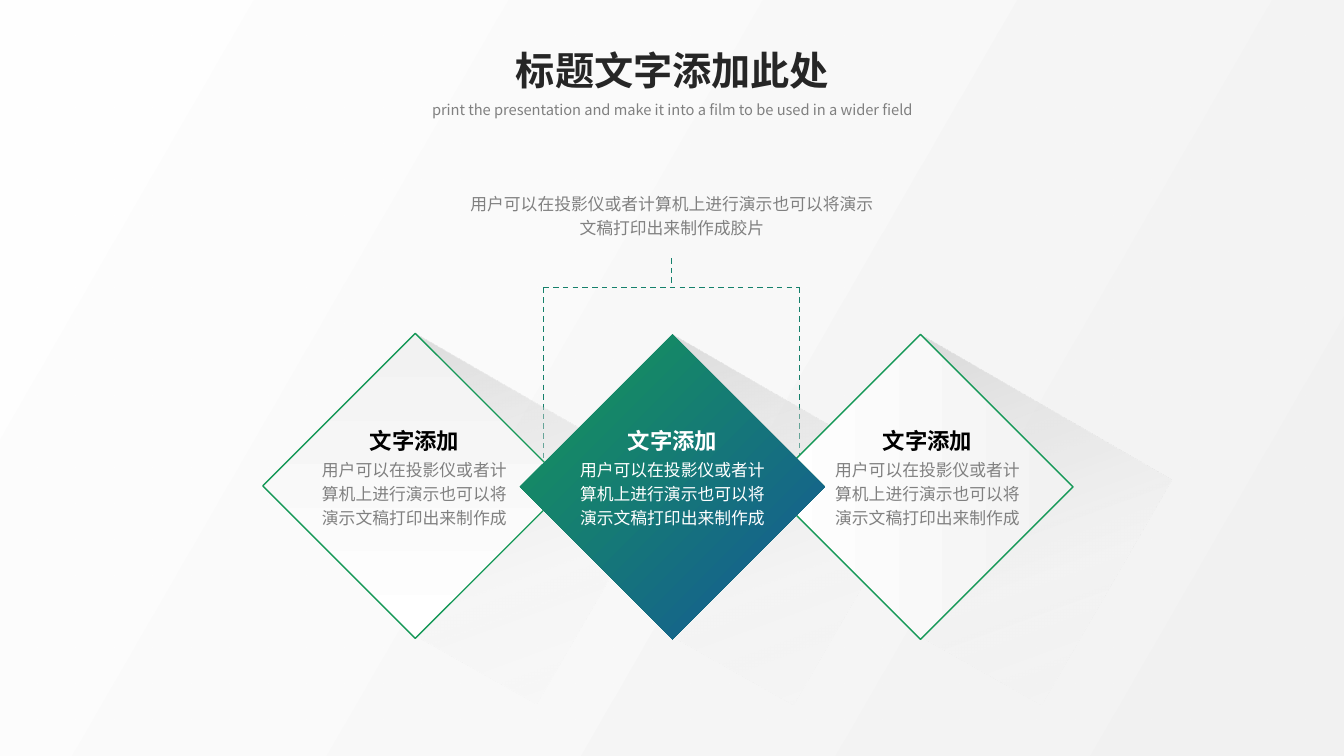
from lxml import etree
from pptx import Presentation
from pptx.dml.color import RGBColor
from pptx.enum.dml import MSO_LINE
from pptx.enum.shapes import MSO_CONNECTOR, MSO_SHAPE
from pptx.enum.text import MSO_AUTO_SIZE, PP_ALIGN
from pptx.oxml import parse_xml
from pptx.oxml.ns import nsdecls, qn
from pptx.util import Inches, Pt

WIDTH, HEIGHT = 13.33, 7.5
FONT = "Noto Sans CJK SC"
WHITE = RGBColor(0xFF, 0xFF, 0xFF)
PALE = RGBColor(0xF2, 0xF2, 0xF2)
SILVER = RGBColor(0xBF, 0xBF, 0xBF)
GRAY = RGBColor(0x80, 0x80, 0x80)
INK = RGBColor(0x26, 0x26, 0x26)
BLACK = RGBColor(0, 0, 0)
GREEN = RGBColor(0x15, 0x98, 0x57)
BLUE = RGBColor(0x15, 0x57, 0x98)
TEAL = RGBColor(0x15, 0x80, 0x6B)

BACKDROP = [(0, WHITE, 95), (100, PALE, 100)]
SHADE = [(0, SILVER, 50), (61, PALE, 34), (100, PALE, 0)]
LIGHT = [(0, WHITE, 100), (100, PALE, 100)]
VIVID = [(0, GREEN, 100), (100, BLUE, 100)]

SIDE = 2.14
TURN = 315
HEADING = "文字添加"
BODY = "用户可以在投影仪或者计算机上进行演示也可以将演示文稿打印出来制作成"
# centre x, centre y, text centre x, stops, gradient angle, outline, heading and body colours
DIAMONDS = [
    (9.13, 4.83, 9.2, LIGHT, 0, GREEN, BLACK, GRAY),
    (4.12, 4.82, 4.11, LIGHT, 270, GREEN, BLACK, GRAY),
    (6.67, 4.83, 6.67, VIVID, 45, None, WHITE, WHITE),
]


def fill_gradient(shape, stops, angle):
    """Fill with (position, colour, opacity) stops; angle runs clockwise."""
    marks = "".join(
        f'<a:gs pos="{position * 1000}"><a:srgbClr val="{color}">'
        f'<a:alpha val="{opacity * 1000}"/></a:srgbClr></a:gs>'
        for position, color, opacity in stops)
    gradient = parse_xml(
        f'<a:gradFill {nsdecls("a")} rotWithShape="1"><a:gsLst>{marks}</a:gsLst>'
        f'<a:lin ang="{angle * 60000}" scaled="0"/></a:gradFill>')
    shape.fill.background()
    properties = shape.fill._xPr
    properties.replace(properties.find(qn("a:noFill")), gradient)


def style_shape(shape, stops, angle, outline=None):
    shape.shadow.inherit = False
    fill_gradient(shape, stops, angle)
    if outline is None:
        shape.line.fill.background()
    else:
        shape.line.color.rgb = outline
        shape.line.width = Pt(1)


def add_text(slide, box, text, size, color, bold=False, spacing=1.2):
    shape = slide.shapes.add_textbox(*map(Inches, box))
    shape.text_frame.word_wrap = True
    shape.text_frame.auto_size = MSO_AUTO_SIZE.SHAPE_TO_FIT_TEXT
    paragraph = shape.text_frame.paragraphs[0]
    paragraph.alignment = PP_ALIGN.CENTER
    paragraph.line_spacing = spacing
    run = paragraph.add_run()
    run.text = text
    values = {"name": FONT, "size": Pt(size), "bold": bold}
    for name, value in values.items():
        setattr(run.font, name, value)
    run.font.color.rgb = color
    etree.SubElement(run.font._element, qn("a:ea")).set("typeface", FONT)


def add_backdrop(slide):
    shape = slide.shapes.add_shape(
        MSO_SHAPE.RECTANGLE, 0, 0, Inches(WIDTH), Inches(HEIGHT))
    style_shape(shape, BACKDROP, 30)


def add_header(slide, left, top, width):
    add_text(slide, (left, top, width, 0.57), "标题文字添加此处", 28, INK, True, 1.0)
    add_text(slide, (left, top + 0.51, width, 0.3),
             "print the presentation and make it into a film to be used in a wider field",
             10.5, GRAY)


def add_bracket(slide, left, top, width, height):
    """Dashed stem and crossbar with a leg at each end."""
    right, middle, bar = left + width, left + width / 2, top + 0.29
    bottom = top + height
    for ends in [(left, bar, left, bottom), (right, bar, right, bottom),
                 (left, bar, right, bar), (middle, top, middle, bar)]:
        line = slide.shapes.add_connector(MSO_CONNECTOR.STRAIGHT, *map(Inches, ends))
        line.line.color.rgb = TEAL
        line.line.width = Pt(1)
        line.line.dash_style = MSO_LINE.DASH
        etree.SubElement(line._element.spPr, qn("a:effectLst"))


def add_long_shadow(slide, center_x, center_y):
    """Shadow falling to the lower right of a diamond."""
    offsets = [(0, -1.51), (2.49, -0.07), (1.2, 2.16), (0, 1.48)]
    points = [(Inches(center_x + dx), Inches(center_y + dy)) for dx, dy in offsets]
    builder = slide.shapes.build_freeform(*points[0], scale=1.0)
    builder.add_line_segments(points[1:], close=True)
    style_shape(builder.convert_to_shape(), SHADE, 70)


def add_diamond(slide, center_x, center_y, stops, angle, outline):
    shape = slide.shapes.add_shape(
        MSO_SHAPE.RECTANGLE, Inches(center_x - SIDE / 2), Inches(center_y - SIDE / 2),
        Inches(SIDE), Inches(SIDE))
    shape.rotation = TURN
    style_shape(shape, stops, (angle - TURN) % 360, outline)


def add_caption(slide, center_x, top, heading_color, body_color):
    add_text(slide, (center_x - 1.085, top + 0.33, 2.17, 0.83), BODY, 12, body_color)
    add_text(slide, (center_x - 1.12, top, 2.24, 0.4), HEADING, 16, heading_color, True)


def main():
    presentation = Presentation()
    presentation.slide_width = Inches(WIDTH)
    presentation.slide_height = Inches(HEIGHT)
    slide = presentation.slides.add_slide(presentation.slide_layouts[6])
    add_backdrop(slide)
    add_bracket(slide, 5.39, 2.56, 2.54, 2.29)
    for center_x, center_y, *_ in DIAMONDS:
        add_long_shadow(slide, center_x, center_y)
    for center_x, center_y, _, stops, angle, outline, *_ in DIAMONDS:
        add_diamond(slide, center_x, center_y, stops, angle, outline)
    for _, _, text_x, _, _, _, heading_color, body_color in DIAMONDS:
        add_caption(slide, text_x, 4.14, heading_color, body_color)
    add_text(slide, (4.54, 1.83, 4.25, 0.59), BODY + "胶片", 12, GRAY)
    add_header(slide, 4, 0.41, 5.34)
    presentation.save("out.pptx")


if __name__ == "__main__":
    main()
